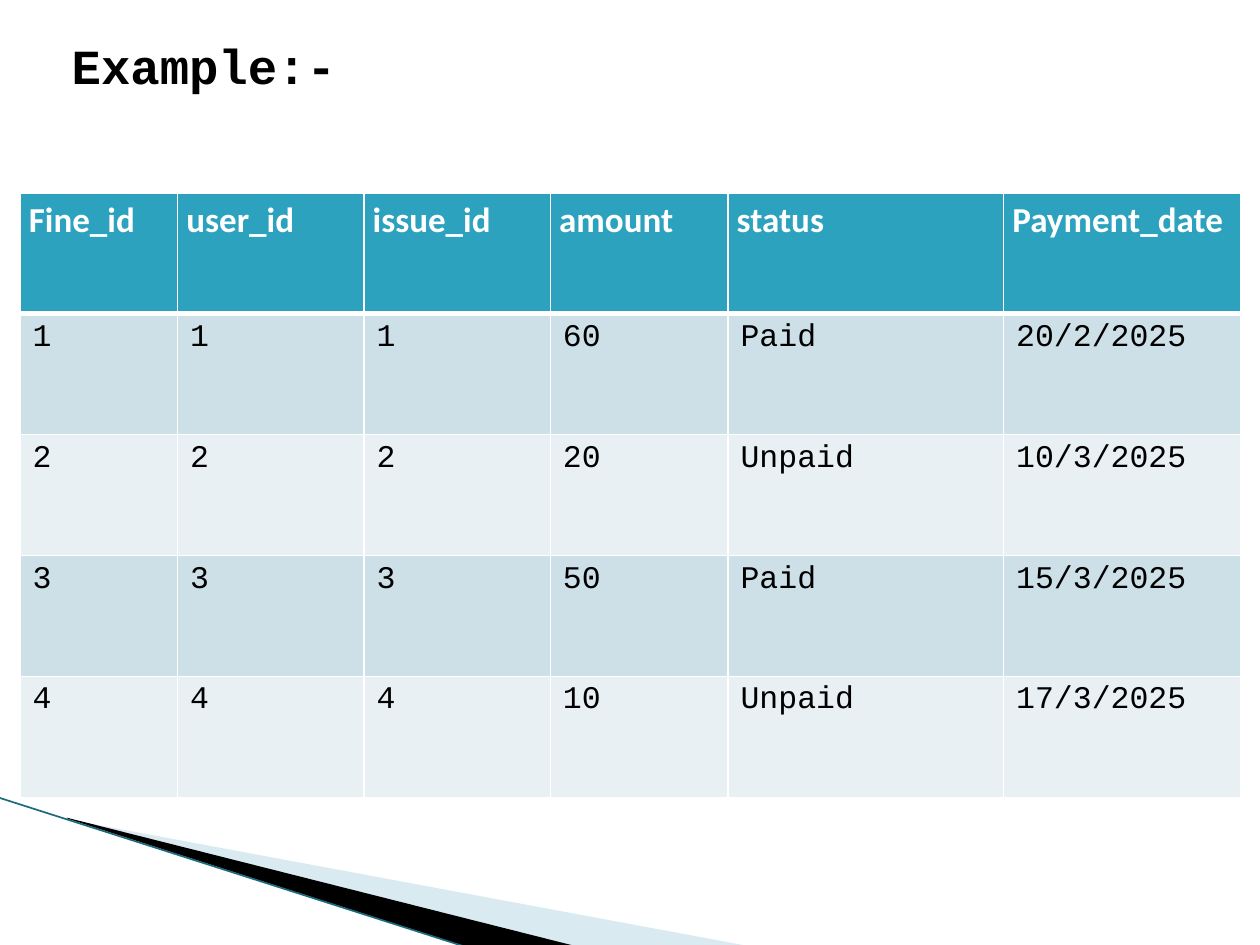
"""Build the slide with an example table of library fines."""
from lxml import etree
from pptx import Presentation
from pptx.dml.color import RGBColor
from pptx.enum.shapes import MSO_CONNECTOR
from pptx.enum.text import MSO_ANCHOR, PP_ALIGN
from pptx.oxml.ns import qn
from pptx.util import Pt

STRAIGHT = MSO_CONNECTOR.STRAIGHT
TOP = MSO_ANCHOR.TOP
LEFT = PP_ALIGN.LEFT

BLACK = RGBColor(0x00, 0x00, 0x00)
WHITE = RGBColor(0xFF, 0xFF, 0xFF)
HEADER_TEAL = RGBColor(0x2D, 0xA2, 0xBF)
BAND_DARK = RGBColor(0xCD, 0xE0, 0xE8)
BAND_LIGHT = RGBColor(0xE8, 0xF0, 0xF4)
WEDGE_BLUE = RGBColor(0xA0, 0xCB, 0xDC)
EDGE_TEAL = RGBColor(0x1B, 0x6A, 0x7E)

COLUMN_WIDTHS = [90, 106.5, 106.5, 101.5, 157.5, 135.5]
ROW_HEIGHT = 69.1
FINES = [
    ["Fine_id", "user_id", "issue_id", "amount", "status", "Payment_date"],
    ["1", "1", "1", "60", "Paid", "20/2/2025"],
    ["2", "2", "2", "20", "Unpaid", "10/3/2025"],
    ["3", "3", "3", "50", "Paid", "15/3/2025"],
    ["4", "4", "4", "10", "Unpaid", "17/3/2025"],
]
WEDGES = [
    ([(39.6, 468.4), (428.4, 540.7), (328.3, 540.7), (39.6, 468)], WEDGE_BLUE, 40),
    ([(38.2, 467.3), (329, 540.7), (267.8, 541.4), (38.9, 468)], BLACK, 100),
]


def set_font(paragraph, name, size, color, bold):
    paragraph.font.name = name
    paragraph.font.size = Pt(size)
    paragraph.font.color.rgb = color
    paragraph.font.bold = bold


def set_borders(cell, widths):
    properties = cell._tc.get_or_add_tcPr()
    for position, (side, width) in enumerate(widths.items()):
        border = etree.Element(qn(f"a:ln{side}"), w=str(Pt(width)))
        fill = etree.SubElement(border, qn("a:solidFill"))
        etree.SubElement(fill, qn("a:srgbClr"), val=str(WHITE))
        properties.insert(position, border)


prs = Presentation()
prs.slide_width, prs.slide_height = Pt(720), Pt(540)
slide = prs.slides.add_slide(prs.slide_layouts[5])

for corners, color, opacity in WEDGES:
    points = [(Pt(x), Pt(y)) for x, y in corners]
    builder = slide.shapes.build_freeform(*points[0], scale=1.0)
    builder.add_line_segments(points[1:], close=True)
    wedge = builder.convert_to_shape()
    wedge.shadow.inherit = False
    wedge.fill.solid()
    wedge.fill.fore_color.rgb = color
    wedge.line.fill.background()
    if opacity < 100:
        tint = wedge._element.spPr.find(qn("a:solidFill"))[0]
        etree.SubElement(tint, qn("a:alpha"), val=str(opacity * 1000))

edge = slide.shapes.add_connector(STRAIGHT, Pt(-0.7), Pt(455.8), Pt(267.1), Pt(541.4))
edge.line.color.rgb = EDGE_TEAL
edge.line.width = Pt(0.95)
etree.SubElement(edge._element.spPr, qn("a:effectLst"))

title = slide.shapes.title
title.left, title.top, title.width, title.height = Pt(33.8), Pt(16.6), Pt(168.5), Pt(41)
title.text_frame.text = "Example:-"
title.text_frame.vertical_anchor = TOP
title.text_frame.paragraphs[0].alignment = LEFT
set_font(title.text_frame.paragraphs[0], "Courier New", 28, BLACK, True)

fines_table = slide.shapes.add_table(
    len(FINES), len(COLUMN_WIDTHS), Pt(11.5), Pt(110.2),
    Pt(sum(COLUMN_WIDTHS)), Pt(ROW_HEIGHT * len(FINES))).table
for column, width in zip(fines_table.columns, COLUMN_WIDTHS):
    column.width = Pt(width)

for row_index, values in enumerate(FINES):
    fines_table.rows[row_index].height = Pt(ROW_HEIGHT)
    is_header = row_index == 0
    band = BAND_DARK if row_index % 2 else BAND_LIGHT
    for column_index, value in enumerate(values):
        cell = fines_table.cell(row_index, column_index)
        cell.text = value
        cell.fill.solid()
        cell.fill.fore_color.rgb = HEADER_TEAL if is_header else band
        paragraph = cell.text_frame.paragraphs[0]
        if is_header:
            cell.margin_left = cell.margin_right = Pt(5)
            cell.margin_top = cell.margin_bottom = Pt(0)
            paragraph.line_spacing = 1.15
            paragraph.space_after = Pt(10)
            set_font(paragraph, "Calibri", 20, WHITE, True)
        else:
            set_font(paragraph, "Courier New", 18, BLACK, False)
        set_borders(cell, {"L": 1, "R": 1, "T": 3 if row_index == 1 else 1,
                           "B": 3 if is_header else 1})

prs.save("out.pptx")
